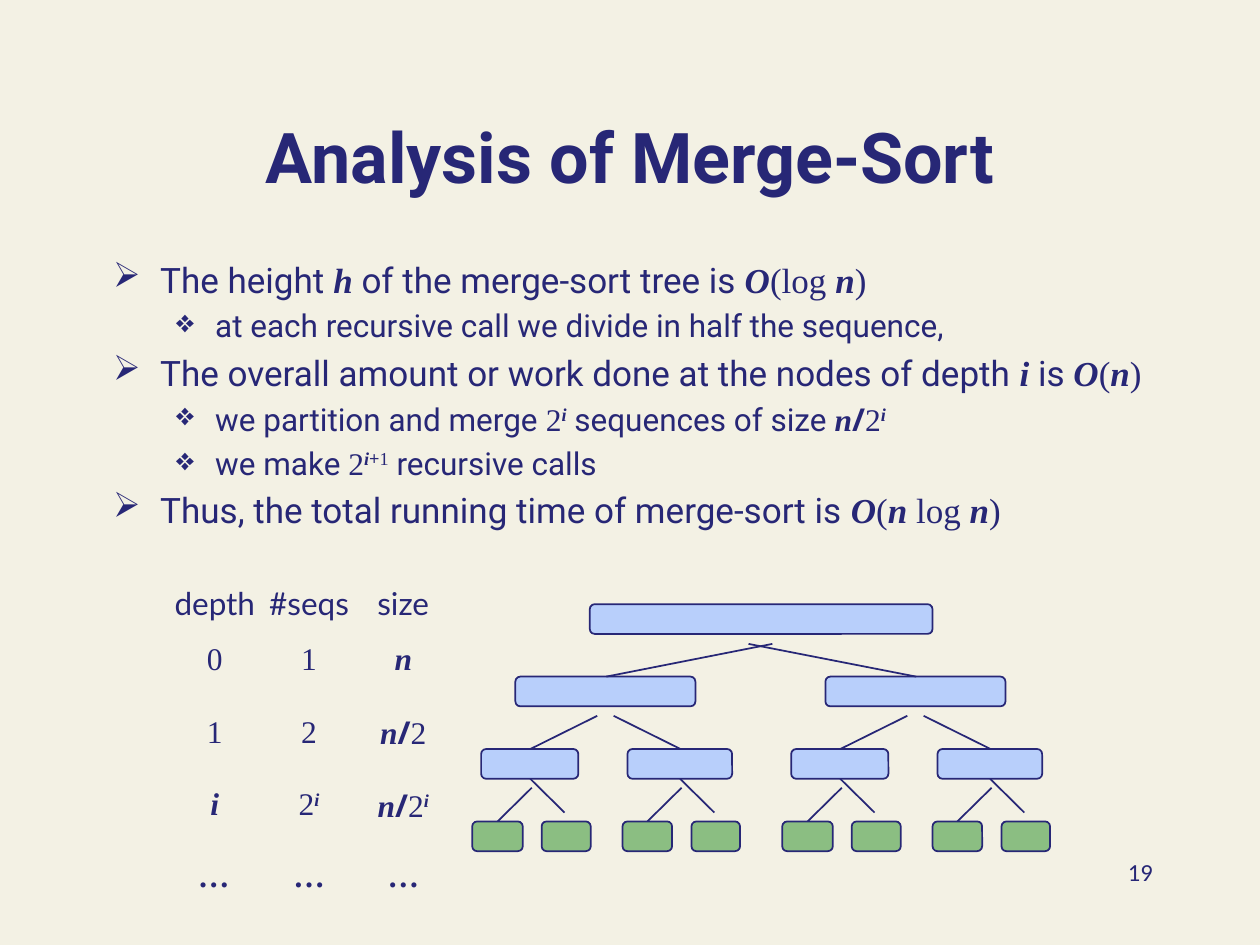
from typing import NamedTuple

from lxml.etree import SubElement
from pptx import Presentation
from pptx.dml.color import RGBColor
from pptx.enum.shapes import MSO_CONNECTOR, MSO_SHAPE
from pptx.enum.text import MSO_ANCHOR, MSO_AUTO_SIZE, PP_ALIGN
from pptx.oxml.ns import qn
from pptx.util import Cm, Pt

CREAM = RGBColor(0xF3, 0xF1, 0xE4)
NAVY = RGBColor(0x27, 0x27, 0x76)
BLUE = RGBColor(0xB8, 0xCF, 0xFB)
GREEN = RGBColor(0x8B, 0xBE, 0x82)
SERIF = "Times New Roman"
NO_STYLE = "{2D5ABB26-0587-4C30-8999-92F81FD0307C}"


class Style(NamedTuple):
    font: str
    bold: bool = False
    italic: bool = False
    raised: bool = False


class Bullet(NamedTuple):
    char: str
    size: int
    left: float
    hang: float
    before: float


class Node(NamedTuple):
    x: float
    width: float
    depth: int


class Edge(NamedTuple):
    x1: float
    y1: float
    x2: float
    y2: float


# Text pieces are separated by "|"; a leading mark selects a math style
MARKS = {
    "*": Style(SERIF, bold=True, italic=True),
    "$": Style(SERIF),
    "^": Style(SERIF, bold=True, italic=True, raised=True),
    "~": Style(SERIF, raised=True),
    "+": Style("Open Sans", raised=True),
    "%": Style("Open Sans", bold=True),
    "!": Style(SERIF, bold=True),
}

MAIN = Bullet("➢", 20, 0.95, 0.95, 4)
SUB = Bullet("❖", 18, 2.06, 0.79, 3.6)
POINTS = [
    (MAIN, "The height |*h| of the merge-sort tree is |*O|$(log |*n|$)"),
    (SUB, "at each recursive call we divide in half the sequence,"),
    (MAIN, "The overall amount or work done at the nodes of depth |*i |is |*O|$(|*n|$)"),
    (SUB, "we partition and merge |$2|^i| sequences of size |*n|%/|$2|^i"),
    (SUB, "we make |$2|^i|++|~1| recursive calls"),
    (MAIN, "Thus, the total running time of merge-sort is |*O|$(|*n|$ log |*n|$)"),
]

COLUMN = 1.9
ROW_HEIGHTS = [0.79, 1.45, 1.47, 1.45, 1.45]
ROWS = [
    ["depth", "#seqs", "size"],
    ["$0", "$1", "*n"],
    ["$1", "$2", "*n|%/|$2"],
    ["*i", "$2|^i", "*n|%/|$2|^i"],
    ["*…", "!…", "!…"],
]

# Merge-sort tree: one half is drawn twice
TREE_TOP, LEVEL, BOX_HEIGHT, HALF = 12.18, 1.46, 0.6, 6.25
ROOT = Node(11.89, 6.91, 0)
ROOT_ENDS = [15.57, 15.09]
HALF_NODES = [
    Node(10.39, 3.63, 1),
    Node(9.7, 1.96, 2), Node(12.65, 2.11, 2),
    Node(9.52, 1.02, 3), Node(10.92, 0.99, 3),
    Node(12.55, 1, 3), Node(13.94, 0.98, 3),
]
LEAF_EDGES = [Edge(10.03, 16.56, 10.72, 15.88), Edge(10.69, 15.7, 11.38, 16.38)]
HALF_EDGES = [
    Edge(10.69, 15.1, 12.04, 14.43), Edge(13.72, 15.1, 12.37, 14.43),
    *LEAF_EDGES,
    *(Edge(e.x1 + 3.02, e.y1, e.x2 + 3.02, e.y2) for e in LEAF_EDGES),
]


def write(p, text: str, *, size: int, font: str = "Roboto",
          bold: bool = False, align=None) -> None:
    """Fill a paragraph with the marked-up text."""
    p.alignment = align
    for piece in text.split("|"):
        style = MARKS.get(piece[0])
        r = p.add_run()
        r.text = piece[1:] if style else piece
        style = style or Style(font, bold)
        r.font.name, r.font.size = style.font, Pt(size)
        r.font.bold, r.font.italic = style.bold, style.italic
        r.font.color.rgb = NAVY
        if style.raised:
            r.font._element.set("baseline", "30000")


def set_bullet(p, b: Bullet) -> None:
    pPr = p._p.get_or_add_pPr()
    pPr.set("marL", str(Cm(b.left)))
    pPr.set("indent", str(-Cm(b.hang)))
    color = SubElement(SubElement(pPr, qn("a:buClr")), qn("a:srgbClr"))
    color.set("val", str(NAVY))
    SubElement(pPr, qn("a:buChar")).set("char", b.char)


def add_text(s, x: float, y: float, w: float, h: float):
    tf = s.shapes.add_textbox(Cm(x), Cm(y), Cm(w), Cm(h)).text_frame
    tf.word_wrap = True
    return tf


def add_edge(s, e: Edge) -> None:
    line = s.shapes.add_connector(
        MSO_CONNECTOR.STRAIGHT, Cm(e.x1), Cm(e.y1), Cm(e.x2), Cm(e.y2))
    line.line.color.rgb, line.line.width = NAVY, Pt(1)
    SubElement(line._element.spPr, qn("a:effectLst"))


def add_node(s, n: Node, dx: float = 0) -> None:
    sp = s.shapes.add_shape(
        MSO_SHAPE.ROUNDED_RECTANGLE, Cm(n.x + dx),
        Cm(TREE_TOP + n.depth * LEVEL), Cm(n.width), Cm(BOX_HEIGHT))
    sp.shadow.inherit = False
    sp.fill.solid()
    sp.fill.fore_color.rgb = GREEN if n.depth == 3 else BLUE
    sp.line.color.rgb, sp.line.width = NAVY, Pt(1)


def add_tree(s) -> None:
    for dx in (0, HALF):
        for e in HALF_EDGES:
            add_edge(s, Edge(e.x1 + dx, e.y1, e.x2 + dx, e.y2))
        for n in HALF_NODES:
            add_node(s, n, dx)
    add_node(s, ROOT)
    for i, end in enumerate(ROOT_ENDS):
        add_edge(s, Edge(12.22 + i * HALF, 13.64, end, 12.98))


def add_depth_table(s) -> None:
    table = s.shapes.add_table(
        len(ROWS), 3, Cm(3.38), Cm(11.79), Cm(3 * COLUMN), Cm(sum(ROW_HEIGHTS))).table
    table.first_row = table.horz_banding = False
    table._tbl.tblPr.find(qn("a:tableStyleId")).text = NO_STYLE
    for column in table.columns:
        column.width = Cm(COLUMN)
    for i, texts in enumerate(ROWS):
        table.rows[i].height = Cm(ROW_HEIGHTS[i])
        for j, text in enumerate(texts):
            c = table.cell(i, j)
            c.fill.background()
            c.margin_left = c.margin_right = c.margin_top = c.margin_bottom = 0
            c.vertical_anchor = MSO_ANCHOR.MIDDLE if i else MSO_ANCHOR.TOP
            write(c.text_frame.paragraphs[0], text, size=18, font="Lato",
                  align=PP_ALIGN.CENTER)


def main() -> None:
    prs = Presentation()
    prs.slide_width, prs.slide_height = Cm(25.4), Cm(19.05)
    s = prs.slides.add_slide(prs.slide_layouts[5])
    s.background.fill.solid()
    s.background.fill.fore_color.rgb = CREAM

    # Title
    title = s.shapes.title
    title.left, title.top, title.width, title.height = Cm(1.9), Cm(1.37), Cm(21.6), Cm(2.74)
    tf = title.text_frame
    tf.auto_size, tf.vertical_anchor = MSO_AUTO_SIZE.NONE, MSO_ANCHOR.BOTTOM
    write(tf.paragraphs[0], "Analysis of Merge-Sort", size=40, bold=True,
          align=PP_ALIGN.CENTER)

    # Bulleted points
    tf = add_text(s, 2.03, 5.08, 22.02, 6.15)
    for i, (bullet, text) in enumerate(POINTS):
        p = tf.add_paragraph() if i else tf.paragraphs[0]
        p.level = int(bullet is SUB)
        p.space_before = Pt(bullet.before if i else 0)
        set_bullet(p, bullet)
        write(p, text, size=bullet.size)

    # Tree, table and page number
    add_tree(s)
    add_depth_table(s)
    tf = add_text(s, 18.21, 17.15, 5.28, 1.27)
    write(tf.paragraphs[0], "19", size=14, font="Calibri", align=PP_ALIGN.RIGHT)
    prs.save("out.pptx")


if __name__ == "__main__":
    main()
